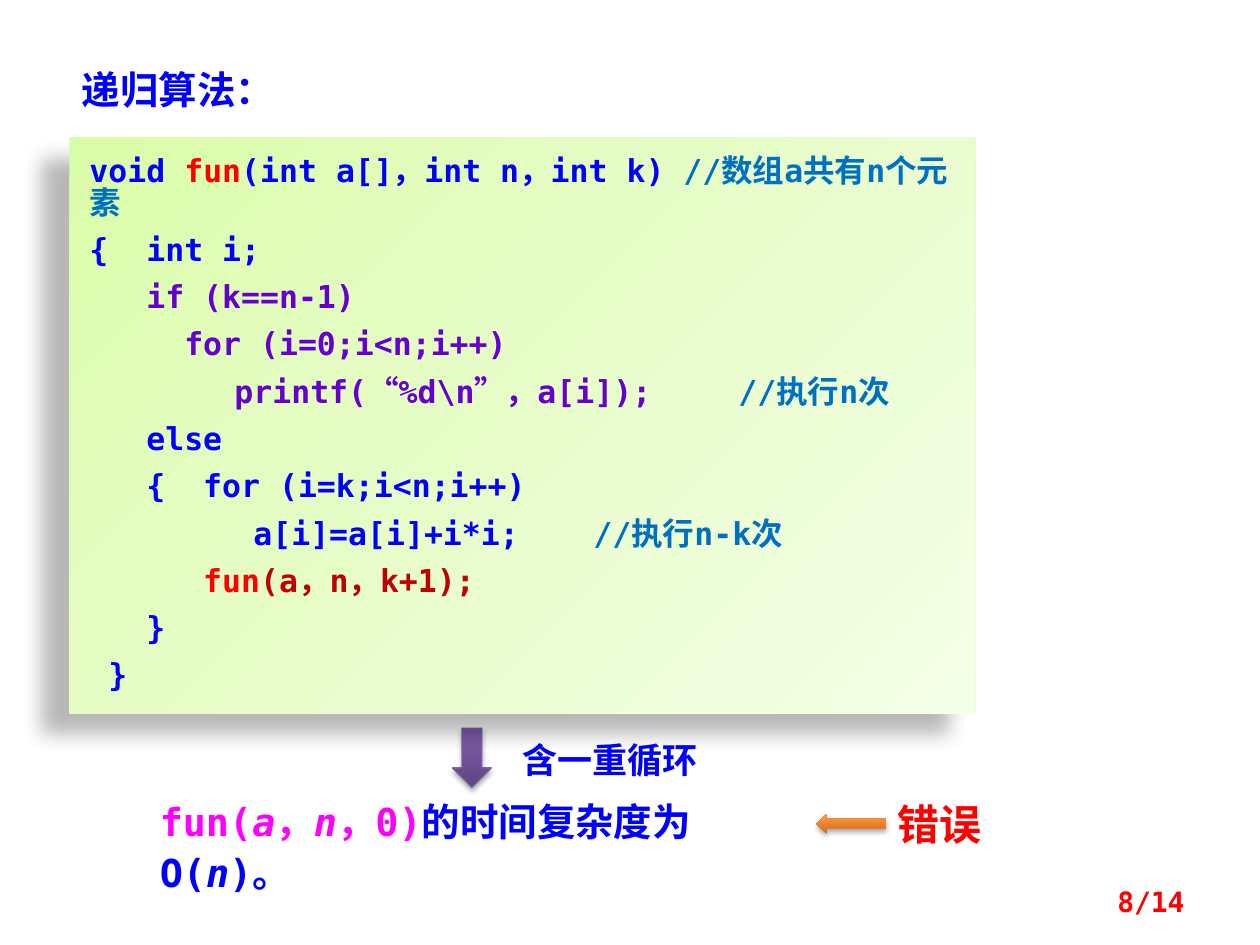
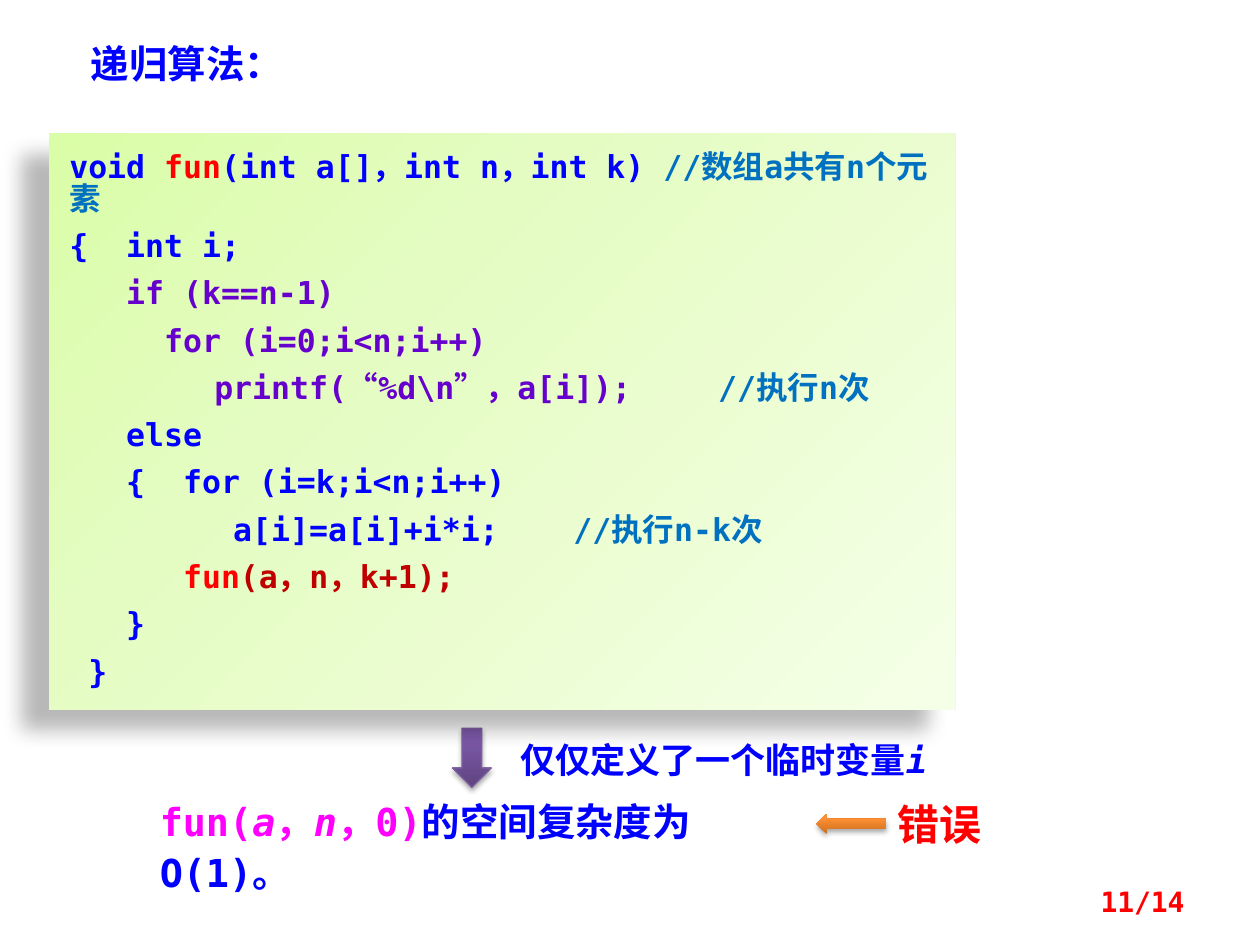
import pptx
import pptx.dml.color
import pptx.enum.shapes
import pptx.enum.text
import pptx.oxml
import pptx.oxml.ns
import pptx.util
from pptx.util import Inches, Pt

RGB = pptx.dml.color.RGBColor
SHAPE = pptx.enum.shapes.MSO_SHAPE
ALIGN = pptx.enum.text.PP_ALIGN
ANCHOR = pptx.enum.text.MSO_ANCHOR

BLUE = RGB(0x00, 0x00, 0xFF)
RED = RGB(0xFF, 0x00, 0x00)
DARK_RED = RGB(0xC0, 0x00, 0x00)
PURPLE = RGB(0x66, 0x00, 0xCC)
COMMENT = RGB(0x00, 0x70, 0xC0)
MAGENTA = RGB(0xFF, 0x00, 0xFF)
ARROW_EDGE = RGB(0x7D, 0x60, 0xA0)

# Gradients: angle in degrees, then (percent, colour) stops
GREEN_PANEL = (45, [(0, RGB(0xDA, 0xFD, 0xA7)), (35, RGB(0xE4, 0xFC, 0xC2)),
                    (100, RGB(0xF5, 0xFF, 0xE7))])
ORANGE_ARROW = (270, [(0, RGB(0xCC, 0x6E, 0x20)), (80, RGB(0xFF, 0x90, 0x34)),
                      (100, RGB(0xFF, 0x91, 0x36))])
PURPLE_ARROW = (270, [(0, RGB(0x5F, 0x44, 0x80)), (80, RGB(0x7B, 0x58, 0xA6)),
                      (100, RGB(0x7C, 0x57, 0xA8))])

# Shadows: opacity percent, blur points, distance points, direction degrees
PANEL_SHADOW = (28, 11.8, 19.7, 141)
ARROW_SHADOW = (35, 3.1, 1.8, 90)

MONO, CJK, SERIF = "DejaVu Sans Mono", "Noto Sans CJK SC", "Times New Roman"
TITLE = "递归算法："
PAGE_COUNT = 14

# Each line is a list of (text, colour) spans
CODE = [
    [("void ", BLUE), ("fun", RED), ("(int a[]，int n，int k) ", BLUE),
     ("//数组a共有n个元素", COMMENT)],
    [("{  int i;", BLUE)],
    [("   if (k==n-1)", PURPLE)],
    [("     for (i=0;i<n;i++)", PURPLE)],
    [("\t printf(“%d\\n”，a[i]);\t ", PURPLE), ("//执行n次", COMMENT)],
    [("   else", BLUE)],
    [("   {  for (i=k;i<n;i++)", BLUE)],
    [("\t  a[i]=a[i]+i*i;\t", BLUE), ("//执行n-k次", COMMENT)],
    [("      fun", RED), ("(a，n，k+1);", DARK_RED)],
    [("   }", BLUE)],
    [(" }", BLUE)],
]

# Spans are (text, colour) or (text, colour, italic)
CALL = [("fun(", MAGENTA), ("a", MAGENTA, True), ("，", MAGENTA),
        ("n", MAGENTA, True), ("，0)", MAGENTA)]

SLIDES = [
    dict(page=8, title_at=(0.55, 0.47, 5.55, 0.47), title_spacing=1.0,
         panel_at=(0.55, 1.09),
         reason=[("含一重循环", BLUE)], reason_at=(3.98, 5.78, 1.72, 0.43),
         reason_font=CJK,
         claim=[("的时间复杂度为O(", BLUE), ("n", BLUE, True), (")。", BLUE)]),
    dict(page=11, title_at=(0.62, 0.23, 2.34, 0.48), title_spacing=1.1,
         panel_at=(0.39, 1.06),
         reason=[("仅仅定义了一个临时变量", BLUE), ("i", BLUE, True)],
         reason_at=(3.91, 5.78, 3.67, 0.45), reason_font=MONO,
         claim=[("的空间复杂度为O(1)。", BLUE)]),
]


def inches(numbers):
    return [Inches(number) for number in numbers]


def write_paragraph(para, spans, size, font, align=ALIGN.LEFT, spacing=1.1):
    para.alignment = align
    para.line_spacing = spacing
    para.font.size = Pt(size)
    para.font.bold = True
    para.font.name = font
    for text, colour, *italic in spans:
        span = para.add_run()
        span.text = text
        span.font.color.rgb = colour
        if italic:
            span.font.italic = True


def add_text(slide, at, spans, size, font, **style):
    box = slide.shapes.add_textbox(*inches(at))
    box.text_frame.word_wrap = True
    write_paragraph(box.text_frame.paragraphs[0], spans, size, font, **style)
    return box


def add_gradient_shape(slide, kind, at, gradient, shadow, edge=None):
    shape = slide.shapes.add_shape(kind, *inches(at))
    properties = shape.element.spPr
    namespace = pptx.oxml.ns.nsdecls("a")
    angle, stops = gradient
    stop_xml = "".join(
        f'<a:gs pos="{percent * 1000}"><a:srgbClr val="{colour}"/></a:gs>'
        for percent, colour in stops)
    properties.append(pptx.oxml.parse_xml(
        f'<a:gradFill {namespace} rotWithShape="1"><a:gsLst>{stop_xml}</a:gsLst>'
        f'<a:lin ang="{angle * 60000}" scaled="0"/></a:gradFill>'))
    if edge is None:
        shape.line.fill.background()
    else:
        shape.line.color.rgb = edge
        shape.line.width = Pt(0.75)
    shape.shadow.inherit = False
    opacity, blur, distance, direction = shadow
    effects = properties.find(pptx.oxml.ns.qn("a:effectLst"))
    effects.append(pptx.oxml.parse_xml(
        f'<a:outerShdw {namespace} blurRad="{Pt(blur)}" dist="{Pt(distance)}" '
        f'dir="{direction * 60000}" algn="ctr" rotWithShape="0">'
        f'<a:srgbClr val="000000"><a:alpha val="{opacity * 1000}"/></a:srgbClr>'
        f'</a:outerShdw>'))
    return shape


def add_tab_stops(para):
    """Put a tab stop at every inch of a code line."""
    stops = "".join(f'<a:tab pos="{Inches(inch)}" algn="l"/>' for inch in range(1, 7))
    para._p.get_or_add_pPr().append(pptx.oxml.parse_xml(
        f'<a:tabLst {pptx.oxml.ns.nsdecls("a")}>{stops}</a:tabLst>'))


def add_code_panel(slide, left, top):
    panel = add_gradient_shape(slide, SHAPE.RECTANGLE, (left, top, 7.19, 4.57),
                               GREEN_PANEL, PANEL_SHADOW)
    frame = panel.text_frame
    frame.word_wrap = True
    frame.vertical_anchor = ANCHOR.TOP
    frame.margin_left = frame.margin_top = Inches(0.16)
    frame.margin_right, frame.margin_bottom = Inches(0.1), Inches(0.12)
    for number, spans in enumerate(CODE):
        para = frame.add_paragraph() if number else frame.paragraphs[0]
        add_tab_stops(para)
        write_paragraph(para, spans, 18, MONO, spacing=Pt(18))
        if number:
            para.space_before = Pt(9)


def set_title(slide, at, spacing):
    title = slide.shapes.title
    title.left, title.top, title.width, title.height = inches(at)
    frame = title.text_frame
    frame.word_wrap = True
    frame.auto_size = pptx.enum.text.MSO_AUTO_SIZE.NONE
    frame.vertical_anchor = ANCHOR.TOP
    write_paragraph(frame.paragraphs[0], [(TITLE, BLUE)], 22, SERIF, spacing=spacing)
    frame.paragraphs[0].space_before = Pt(0)


def build_slide(deck, content):
    slide = deck.slides.add_slide(deck.slide_layouts[5])
    set_title(slide, content["title_at"], content["title_spacing"])
    add_gradient_shape(slide, SHAPE.LEFT_ARROW, (6.48, 6.46, 0.55, 0.16),
                       ORANGE_ARROW, ARROW_SHADOW)
    add_text(slide, (6.95, 6.25, 1.02, 0.55), [("错误", RED)], 24, CJK,
             align=ALIGN.CENTER)
    add_text(slide, (1.17, 6.25, 5.16, 0.48), CALL + content["claim"], 22, MONO)
    add_gradient_shape(slide, SHAPE.DOWN_ARROW, (3.59, 5.78, 0.31, 0.47),
                       PURPLE_ARROW, ARROW_SHADOW, ARROW_EDGE)
    add_text(slide, content["reason_at"], content["reason"], 20,
             content["reason_font"], align=ALIGN.CENTER)
    page_number = add_text(slide, (7.17, 6.95, 2.33, 0.4),
                           [(f"{content['page']}/{PAGE_COUNT}", RED)], 16, MONO,
                           align=ALIGN.RIGHT, spacing=1.0)
    page_number.text_frame.vertical_anchor = ANCHOR.MIDDLE
    add_code_panel(slide, *content["panel_at"])


def main():
    deck = pptx.Presentation()
    deck.slide_width, deck.slide_height = Inches(10), Inches(7.5)
    for content in SLIDES:
        build_slide(deck, content)
    deck.save("out.pptx")


if __name__ == "__main__":
    main()
